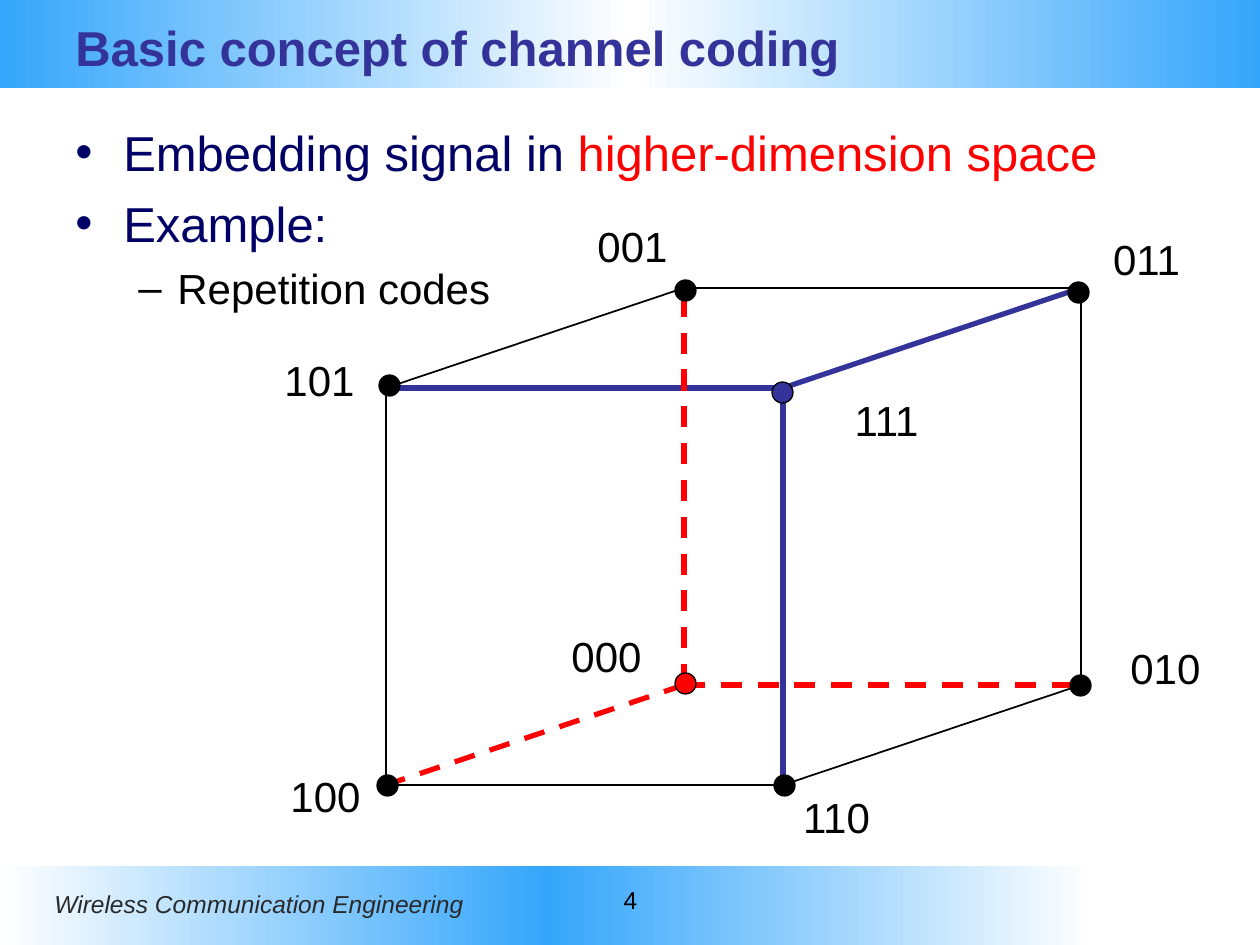
from copy import deepcopy
from dataclasses import dataclass
from itertools import combinations

from lxml import etree
from pptx import Presentation
from pptx.dml.color import RGBColor
from pptx.enum.dml import MSO_LINE
from pptx.enum.shapes import MSO_CONNECTOR, MSO_SHAPE
from pptx.enum.text import MSO_ANCHOR, PP_ALIGN
from pptx.oxml.ns import qn
from pptx.util import Pt

RECTANGLE, OVAL = MSO_SHAPE.RECTANGLE, MSO_SHAPE.OVAL
STRAIGHT, DASH = MSO_CONNECTOR.STRAIGHT, MSO_LINE.DASH
TOP, MIDDLE = MSO_ANCHOR.TOP, MSO_ANCHOR.MIDDLE
LEFT, CENTER = PP_ALIGN.LEFT, PP_ALIGN.CENTER

PX_PER_INCH = 126
BLANK_LAYOUT = 6


@dataclass(frozen=True)
class Theme:
    font: str = "Arial"
    sky: str = "35A6FB"
    white: str = "FFFFFF"
    black: str = "000000"
    indigo: str = "333399"
    navy: str = "000066"
    red: str = "FF0000"
    footer: str = "292929"
    heading_size: int = 28
    label_size: int = 24
    footer_size: int = 14
    thin: float = 1
    thick: float = 3
    dot_line: float = 0.75


THEME = Theme()

# Each codeword bit moves the vertex along one axis: front, right, up.
ORIGIN = (684, 685)
AXES = ((-298, 100), (397, 0), (0, -397))
DOT_SIZE = 21

# Codeword: top left of its dot, top left of its label
VERTICES = {
    "000": ((675, 673), (559, 624)),
    "111": ((772, 382), (839, 388)),
    "101": ((379, 375), (272, 348)),
    "001": ((675, 280), (585, 214)),
    "110": ((774, 775), (789, 785)),
    "010": ((1070, 675), (1118, 636)),
    "100": ((377, 775), (278, 764)),
    "011": ((1068, 282), (1099, 227)),
}


def px(*values):
    lengths = [round(value * 914400 / PX_PER_INCH) for value in values]
    return lengths if len(lengths) > 1 else lengths[0]


def rgb(color):
    return RGBColor.from_string(color)


def add_span(para, text, size, color, bold=False, italic=False):
    span = para.add_run()
    span.text = text
    font = span.font
    font.name, font.size, font.color.rgb = THEME.font, Pt(size), rgb(color)
    font.bold, font.italic = bold, italic


def add_box(shapes, at, wrap=True, anchor=TOP):
    frame = shapes.add_textbox(*px(*at)).text_frame
    frame.word_wrap = wrap
    frame.vertical_anchor = anchor
    return frame


def add_text(shapes, at, text, size, color, align=LEFT, wrap=True,
             anchor=TOP, **style):
    para = add_box(shapes, at, wrap, anchor).paragraphs[0]
    para.alignment = align
    add_span(para, text, size, color, **style)


def add_bullet(para, mark, color, margin, hanging, level=0):
    para.level = level
    props = para._p.get_or_add_pPr()
    props.set("marL", str(px(margin)))
    props.set("indent", str(-px(hanging)))
    bullet_color = etree.SubElement(props, qn("a:buClr"))
    etree.SubElement(bullet_color, qn("a:srgbClr"), val=color)
    etree.SubElement(props, qn("a:buFont"), typeface=THEME.font)
    etree.SubElement(props, qn("a:buChar"), char=mark)


def add_band(shapes, at, edge, middle):
    """Add a bar that fades from edge to middle and back, left to right."""
    band = shapes.add_shape(RECTANGLE, *px(*at))
    band.shadow.inherit = False
    band.line.fill.background()
    band.fill.gradient()
    band.fill.gradient_angle = 0
    first = band.element.spPr.find(".//" + qn("a:gs"))
    first.addnext(deepcopy(first))
    for index, color in enumerate((edge, middle, edge)):
        stop = band.fill.gradient_stops[index]
        stop.color.rgb = rgb(color)
        stop.position = index / 2


def add_edge(shapes, start, end, color, width, dash=None):
    edge = shapes.add_connector(STRAIGHT, *px(*start, *end))
    edge.line.color.rgb = rgb(color)
    edge.line.width = Pt(width)
    if dash:
        edge.line.dash_style = dash
    etree.SubElement(edge.element.spPr, qn("a:effectLst"))


def add_dot(shapes, corner, color):
    dot = shapes.add_shape(OVAL, *px(*corner, DOT_SIZE, DOT_SIZE))
    dot.shadow.inherit = False
    dot.fill.solid()
    dot.fill.fore_color.rgb = rgb(color)
    dot.line.color.rgb = rgb(THEME.black)
    dot.line.width = Pt(THEME.dot_line)


def vertex_point(code):
    return tuple(
        ORIGIN[i] + sum(int(bit) * axis[i] for bit, axis in zip(code, AXES))
        for i in range(2)
    )


def add_cube(page):
    """Draw the cube of codewords; edges join words that differ in one bit."""
    shapes = page.shapes.add_group_shape().shapes
    edges = [
        pair for pair in combinations(sorted(VERTICES), 2)
        if sum(a != b for a, b in zip(*pair)) == 1
    ]
    for start, end in reversed(edges):
        if start == "000":
            style = (THEME.red, THEME.thick, DASH)
        elif end == "111":
            style = (THEME.indigo, THEME.thick)
        else:
            style = (THEME.black, THEME.thin)
        add_edge(shapes, vertex_point(start), vertex_point(end), *style)

    dot_colors = {"000": THEME.red, "111": THEME.indigo}
    for code, (dot, label) in VERTICES.items():
        add_text(shapes, (*label, 95, 63), code, THEME.label_size,
                 THEME.black, align=CENTER, wrap=False)
        add_dot(shapes, dot, dot_colors.get(code, THEME.black))


def add_points(page):
    frame = add_box(page.shapes, (63, 116, 1134, 728))
    size = THEME.heading_size

    para = frame.paragraphs[0]
    add_bullet(para, "•", THEME.navy, 48, 48)
    add_span(para, "Embedding signal in ", size, THEME.navy)
    add_span(para, "higher-dimension space", size, THEME.red)

    para = frame.add_paragraph()
    add_bullet(para, "•", THEME.navy, 48, 48)
    para.space_before = Pt(7)
    add_span(para, "Example:", size, THEME.navy)

    para = frame.add_paragraph()
    add_bullet(para, "–", THEME.black, 102, 39, level=1)
    para.space_before = Pt(6)
    add_span(para, "Repetition codes", THEME.label_size, THEME.black)


def main():
    deck = Presentation()
    deck.slide_width, deck.slide_height = px(1260, 945)
    page = deck.slides.add_slide(deck.slide_layouts[BLANK_LAYOUT])
    shapes = page.shapes

    add_band(shapes, (0, 0, 1260, 88), THEME.sky, THEME.white)
    add_band(shapes, (0, 866, 1092, 79), THEME.white, THEME.sky)
    add_text(shapes, (42, 883, 454, 43), "Wireless Communication Engineering",
             THEME.footer_size, THEME.footer, italic=True)
    add_text(shapes, (63, 0, 1102, 94), "Basic concept of channel coding",
             THEME.heading_size, THEME.indigo, anchor=MIDDLE, bold=True)
    add_points(page)
    add_cube(page)
    add_text(shapes, (557, 879, 147, 66), "4", THEME.footer_size,
             THEME.black, align=CENTER)
    deck.save("out.pptx")


if __name__ == "__main__":
    main()
